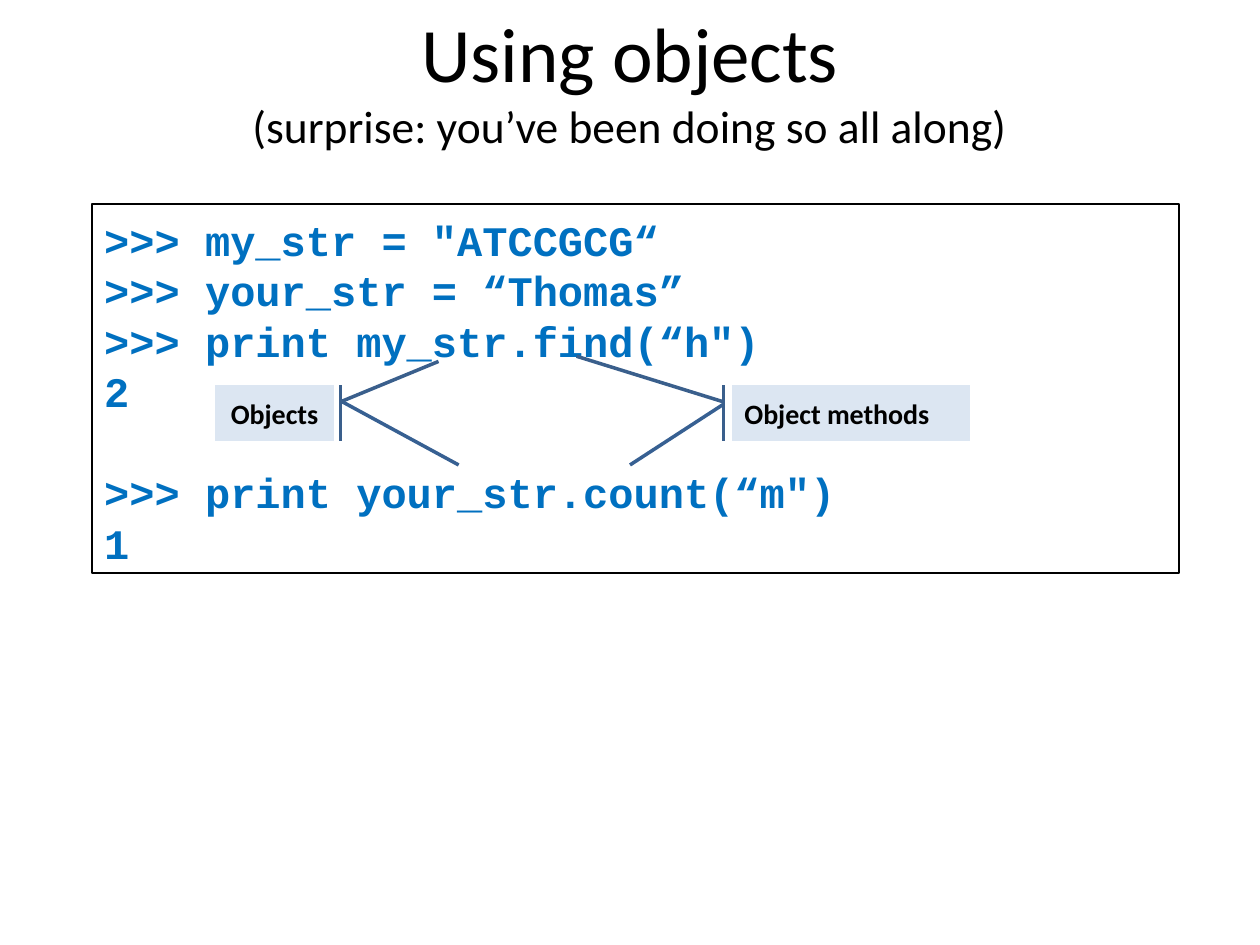
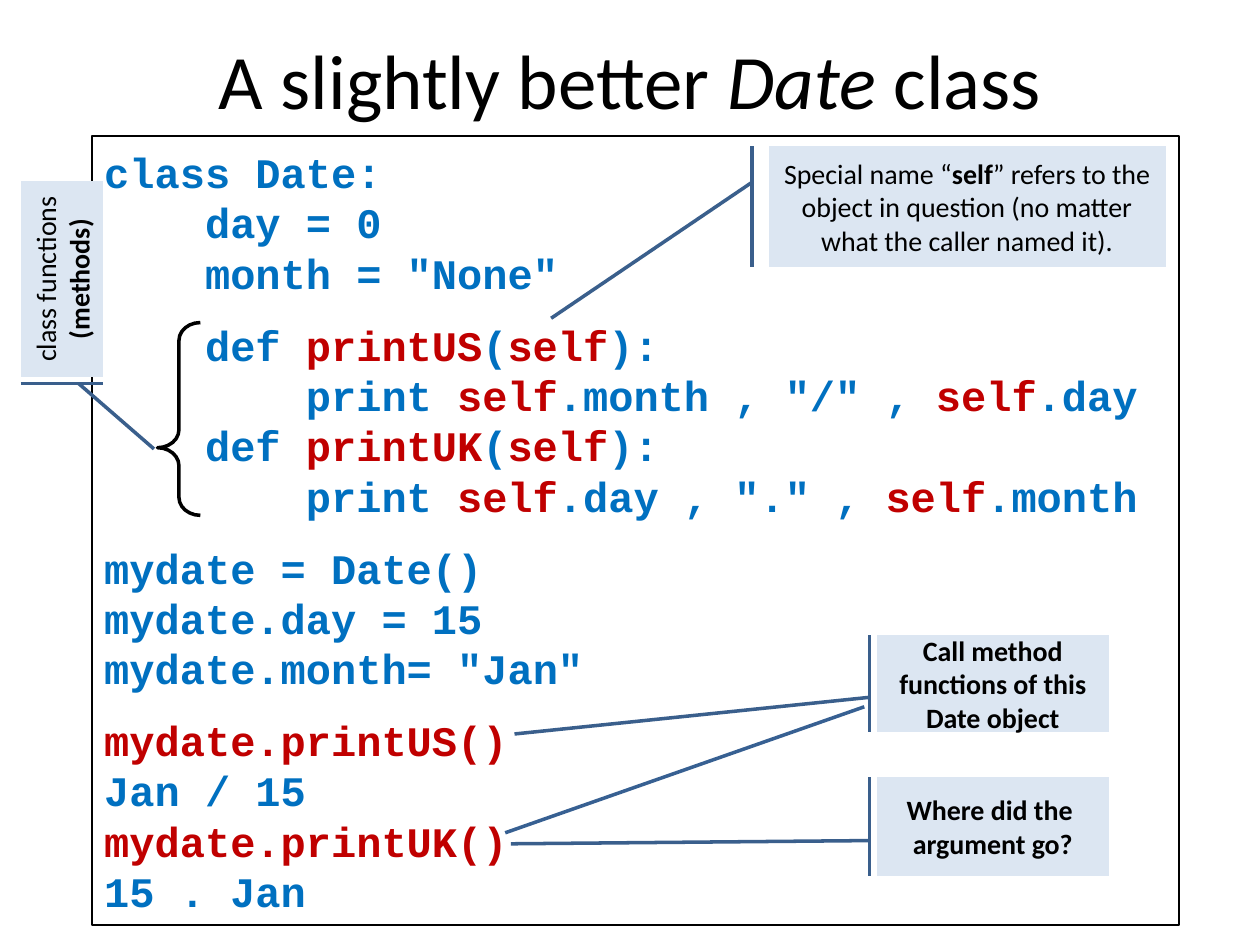
from lxml import etree
from pptx import Presentation
from pptx.dml.color import RGBColor
from pptx.enum.shapes import MSO_CONNECTOR, MSO_SHAPE
from pptx.enum.text import MSO_ANCHOR, PP_ALIGN
from pptx.oxml.ns import qn
from pptx.util import Pt

BLACK = RGBColor(0x00, 0x00, 0x00)
CODE_BLUE = RGBColor(0x00, 0x70, 0xC0)
CODE_RED = RGBColor(0xC0, 0x00, 0x00)
CALLOUT_FILL = RGBColor(0xDC, 0xE6, 0xF2)
CALLOUT_LINE = RGBColor(0x3A, 0x5F, 0x8C)
POINTER = RGBColor(0x37, 0x60, 0x92)
BODY_FONT, CODE_FONT = "Calibri", "Courier New"
CODE_LEFT, CODE_WIDTH = 52.5, 621.4
CODE_PITCH = 28.75

USING_CODE = [
    ('>>> my_str = "ATCCGCG“', 0),
    (">>> your_str = “Thomas”", 0),
    ('>>> print my_str.find(“h")', 0),
    ("2", 0),
    ('>>> print your_str.count(“m")', 29.25),
    ("1", 0),
]
DATE_CODE = [
    ("class Date:", 0),
    ("    day = 0", 0),
    ('    month = "None"', 0),
    ("    def *printUS*(*self*):", 12.4),
    ('        print *self*.month , "/" , *self*.day', 0),
    ("    def *printUK*(*self*):", 0),
    ('        print *self*.day , "." , *self*.month', 0),
    ("mydate = Date()", 12.4),
    ("mydate.day = 15", 0),
    ('mydate.month= "Jan"', 0),
    ("*mydate.printUS()*", 12.4),
    ("Jan / 15", 0),
    ("*mydate.printUK()*", 0),
    ("15 . Jan", 0),
]


def write(p, text, font, size, color):
    """Fill a paragraph; return the runs that stood between asterisks."""
    marked = []
    if "*" in text:
        for i, piece in enumerate(text.split("*")):
            if piece:
                r = p.add_run()
                r.text = piece
                if i % 2:
                    marked.append(r)
    else:
        p.text = text
    for r in p.runs:
        r.font.name, r.font.size = font, Pt(size)
        r.font.color.rgb = color
    return marked


def add_shape(s, kind, box, line, width, fill=None):
    sp = s.shapes.add_shape(kind, *map(Pt, box))
    sp.shadow.inherit = False
    if fill is None:
        sp.fill.background()
    else:
        sp.fill.solid()
        sp.fill.fore_color.rgb = fill
    sp.line.color.rgb, sp.line.width = line, Pt(width)
    return sp


def set_adjustments(sp, values):
    for i, value in enumerate(values):
        sp.adjustments[i] = value


def add_title(s, text):
    tf = s.shapes.add_textbox(0, 0, Pt(720), Pt(90)).text_frame
    tf.word_wrap = True
    tf.vertical_anchor = MSO_ANCHOR.MIDDLE
    p = tf.paragraphs[0]
    p.alignment = PP_ALIGN.CENTER
    for r in write(p, text, BODY_FONT, 44, BLACK):
        r.font.italic = True
    return p


def add_code(s, top, height, lines):
    """Draw a framed listing from (text, space before) pairs."""
    sp = add_shape(s, MSO_SHAPE.RECTANGLE,
                   (CODE_LEFT, top, CODE_WIDTH, height), BLACK, 1)
    tf = sp.text_frame
    tf.word_wrap = True
    tf.vertical_anchor = MSO_ANCHOR.TOP
    tf.margin_top = Pt(6)
    for i, (text, gap) in enumerate(lines):
        p = tf.add_paragraph() if i else tf.paragraphs[0]
        p.alignment = PP_ALIGN.LEFT
        p.line_spacing = Pt(CODE_PITCH)
        p.space_before = Pt(gap)
        marked = write(p, text, CODE_FONT, 24, CODE_BLUE)
        for r in p.runs:
            r.font.bold = True
        for r in marked:
            r.font.color.rgb = CODE_RED


def add_callout(s, box, adjustments, text, bold=False, align=PP_ALIGN.CENTER):
    sp = add_shape(s, MSO_SHAPE.LINE_CALLOUT_1_ACCENT_BAR, box,
                   CALLOUT_LINE, 2, CALLOUT_FILL)
    set_adjustments(sp, adjustments)
    tf = sp.text_frame
    tf.word_wrap = True
    tf.vertical_anchor = MSO_ANCHOR.MIDDLE
    p = tf.paragraphs[0]
    p.alignment = align
    marked = write(p, text, BODY_FONT, 16, BLACK)
    for r in p.runs if bold else marked:
        r.font.bold = True
    return sp


def add_pointer(s, x1, y1, x2, y2):
    line = s.shapes.add_connector(MSO_CONNECTOR.STRAIGHT,
                                  Pt(x1), Pt(y1), Pt(x2), Pt(y2))
    line.line.color.rgb, line.line.width = POINTER, Pt(2)
    etree.SubElement(line._element.spPr, qn("a:effectLst"))


def add_methods_label(s):
    """Draw the upright label and the brace round the methods."""
    label = add_callout(s, (-20.9, 136.1, 112.3, 46.8),
                        (0.709, -0.032, 1.627, -0.364),
                        "class functions *(methods)*")
    label.rotation = 270
    label.text_frame.margin_left = label.text_frame.margin_right = 0
    brace = add_shape(s, MSO_SHAPE.RIGHT_BRACE, (90, 184.3, 24.5, 110.2),
                      BLACK, 2)
    brace.rotation = 180
    set_adjustments(brace, (0.419, 0.351))


def build_using_objects(s):
    title = add_title(s, "Using objects\v(surprise: you’ve been doing so all along)")
    title.runs[1].font.size = Pt(26)
    add_code(s, 116.6, 211, USING_CODE)
    add_pointer(s, 195.8, 229.7, 262.1, 265.7)
    add_callout(s, (123.1, 220.3, 67.7, 31.7), (0.296, 1.056, -0.434, 1.884),
                "Objects", bold=True)
    add_pointer(s, 360, 265.7, 413.3, 231.1)
    add_callout(s, (418.3, 220.3, 136.1, 31.7), (0.296, -0.036, -0.528, -0.653),
                "Object methods", bold=True, align=PP_ALIGN.LEFT)


def build_date_class(s):
    add_title(s, "A slightly better *Date *class")
    add_code(s, 77.8, 450.7, DATE_CODE)
    add_methods_label(s)
    add_callout(s, (501.1, 362.9, 132.5, 55.4), (0.643, -0.032, 1.021, -1.563),
                "Call method functions of this Date object", bold=True)
    add_pointer(s, 288.7, 475.9, 493.9, 403.9)
    add_callout(s, (439.2, 83.5, 226.8, 69.1), (0.3, -0.042, 1.424, -0.548),
                "Special name “*self*” refers to the object in question "
                "(no matter what the caller named it).")
    add_callout(s, (501.1, 444.2, 132.5, 56.2), (0.643, -0.032, 0.676, -1.579),
                "Where did the \vargument go?", bold=True)


def main():
    prs = Presentation()
    prs.slide_width, prs.slide_height = Pt(720), Pt(540)
    for build in (build_using_objects, build_date_class):
        build(prs.slides.add_slide(prs.slide_layouts[6]))
    prs.save("out.pptx")


if __name__ == "__main__":
    main()
